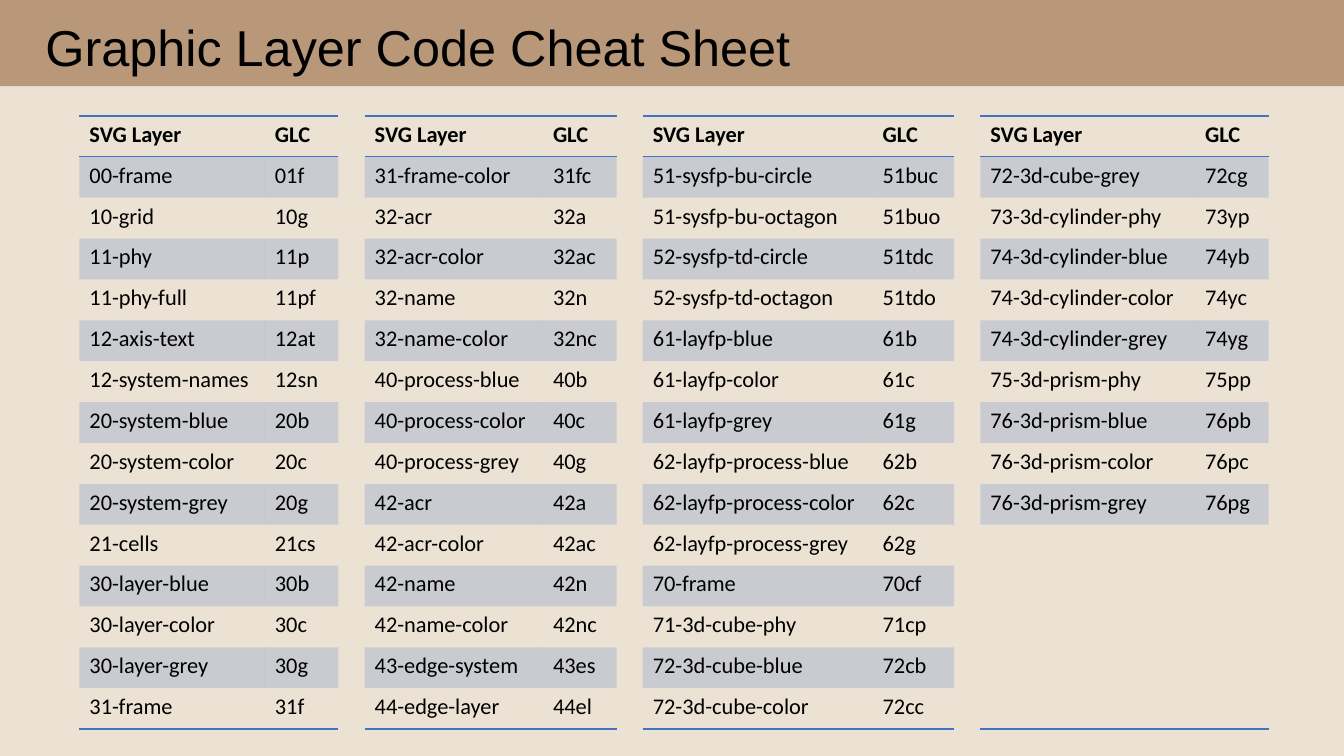
from dataclasses import dataclass

from lxml.etree import SubElement
from pptx import Presentation
from pptx.dml.color import RGBColor
from pptx.enum.text import MSO_ANCHOR, MSO_AUTO_SIZE, PP_ALIGN
from pptx.oxml.ns import qn
from pptx.util import Pt

COLOURS = {
    "page": "EBE2D4",
    "heading": "B89878",
    "ink": "000000",
    "accent": "4472C4",
}
PLAIN_TABLE_STYLE = "{2D5ABB26-0587-4C30-8999-92F81FD0307C}"
ROW_COUNT = 15
ROW_HEIGHT = 29.2
GAP_WIDTH = 18.7
BAND_OPACITY = 20


@dataclass(frozen=True)
class LayerGroup:
    layer_width: float
    code_width: float
    entries: str

    def rows(self) -> list[tuple[str, str]]:
        codes = [tuple(line.split()) for line in self.entries.strip().splitlines()]
        return [("SVG Layer", "GLC"), *codes]


LAYER_GROUPS = [
    LayerGroup(132.5, 52.6, """
        00-frame 01f
        10-grid 10g
        11-phy 11p
        11-phy-full 11pf
        12-axis-text 12at
        12-system-names 12sn
        20-system-blue 20b
        20-system-color 20c
        20-system-grey 20g
        21-cells 21cs
        30-layer-blue 30b
        30-layer-color 30c
        30-layer-grey 30g
        31-frame 31f
    """),
    LayerGroup(127.4, 52.6, """
        31-frame-color 31fc
        32-acr 32a
        32-acr-color 32ac
        32-name 32n
        32-name-color 32nc
        40-process-blue 40b
        40-process-color 40c
        40-process-grey 40g
        42-acr 42a
        42-acr-color 42ac
        42-name 42n
        42-name-color 42nc
        43-edge-system 43es
        44-edge-layer 44el
    """),
    LayerGroup(164.2, 58.3, """
        51-sysfp-bu-circle 51buc
        51-sysfp-bu-octagon 51buo
        52-sysfp-td-circle 51tdc
        52-sysfp-td-octagon 51tdo
        61-layfp-blue 61b
        61-layfp-color 61c
        61-layfp-grey 61g
        62-layfp-process-blue 62b
        62-layfp-process-color 62c
        62-layfp-process-grey 62g
        70-frame 70cf
        71-3d-cube-phy 71cp
        72-3d-cube-blue 72cb
        72-3d-cube-color 72cc
    """),
    LayerGroup(153.4, 52.6, """
        72-3d-cube-grey 72cg
        73-3d-cylinder-phy 73yp
        74-3d-cylinder-blue 74yb
        74-3d-cylinder-color 74yc
        74-3d-cylinder-grey 74yg
        75-3d-prism-phy 75pp
        76-3d-prism-blue 76pb
        76-3d-prism-color 76pc
        76-3d-prism-grey 76pg
    """),
]


def colour(name: str) -> RGBColor:
    return RGBColor.from_string(COLOURS[name])


def write_text(frame, text: str, *, size: float, font: str, bold: bool = False) -> None:
    paragraph = frame.paragraphs[0]
    paragraph.alignment = PP_ALIGN.LEFT
    run = paragraph.add_run()
    run.text = text
    run.font.size = Pt(size)
    run.font.name = font
    run.font.bold = bold
    run.font.color.rgb = colour("ink")


def draw_rule(cell, side: str) -> None:
    rule = SubElement(cell._tc.get_or_add_tcPr(), qn(f"a:{side}"), w=str(Pt(1)))
    fill = SubElement(rule, qn("a:solidFill"))
    SubElement(fill, qn("a:srgbClr"), val=COLOURS["accent"])


def shade(cell) -> None:
    cell.fill.solid()
    cell.fill.fore_color.rgb = colour("accent")
    tint = cell._tc.tcPr.find(f".//{qn('a:srgbClr')}")
    SubElement(tint, qn("a:alpha"), val=str(BAND_OPACITY * 1000))


def draw_heading(slide) -> None:
    heading = slide.shapes.title
    heading.left, heading.top = Pt(0), Pt(0)
    heading.width, heading.height = Pt(960), Pt(61.6)
    heading.fill.solid()
    heading.fill.fore_color.rgb = colour("heading")
    frame = heading.text_frame
    frame.auto_size = MSO_AUTO_SIZE.NONE
    frame.word_wrap = True
    frame.vertical_anchor = MSO_ANCHOR.MIDDLE
    frame.margin_left, frame.margin_top = Pt(14.4), Pt(14.4)
    frame.margin_right, frame.margin_bottom = Pt(7.2), Pt(3.6)
    write_text(frame, "Graphic Layer Code Cheat Sheet", size=36, font="Arial")
    frame.paragraphs[0].line_spacing = 0.9
    frame.paragraphs[0]._p.get_or_add_pPr().set("marL", str(Pt(18)))


def fill_group(codes, group: LayerGroup, first_column: int) -> None:
    rows = group.rows()
    for row in range(ROW_COUNT):
        for offset in range(2):
            cell = codes.cell(row, first_column + offset)
            if row == 0:
                draw_rule(cell, "lnT")
            if row in (0, ROW_COUNT - 1):
                draw_rule(cell, "lnB")
            if row < len(rows):
                write_text(cell.text_frame, rows[row][offset], size=16,
                           font="Calibri", bold=row == 0)
            if row % 2 and row < len(rows):
                shade(cell)
            else:
                cell.fill.background()


def draw_codes(slide) -> None:
    widths = []
    for group in LAYER_GROUPS:
        widths += [group.layer_width, group.code_width, GAP_WIDTH]
    widths.pop()
    frame = slide.shapes.add_table(ROW_COUNT, len(widths), Pt(56.7), Pt(82.8),
                                   Pt(sum(widths)), Pt(ROW_COUNT * ROW_HEIGHT))
    codes = frame.table
    codes.first_row = False
    codes.horz_banding = False
    codes._tbl.tblPr.find(qn("a:tableStyleId")).text = PLAIN_TABLE_STYLE
    for column, width in zip(codes.columns, widths):
        column.width = Pt(width)
    for row in codes.rows:
        row.height = Pt(ROW_HEIGHT)
    for index, group in enumerate(LAYER_GROUPS):
        fill_group(codes, group, index * 3)
    for gap in range(2, len(widths), 3):
        for row in range(ROW_COUNT):
            codes.cell(row, gap).fill.background()


def main() -> None:
    deck = Presentation()
    deck.slide_width, deck.slide_height = Pt(960), Pt(540)
    slide = deck.slides.add_slide(deck.slide_layouts[5])
    slide.background.fill.solid()
    slide.background.fill.fore_color.rgb = colour("page")
    draw_heading(slide)
    draw_codes(slide)
    deck.save("out.pptx")


if __name__ == "__main__":
    main()
